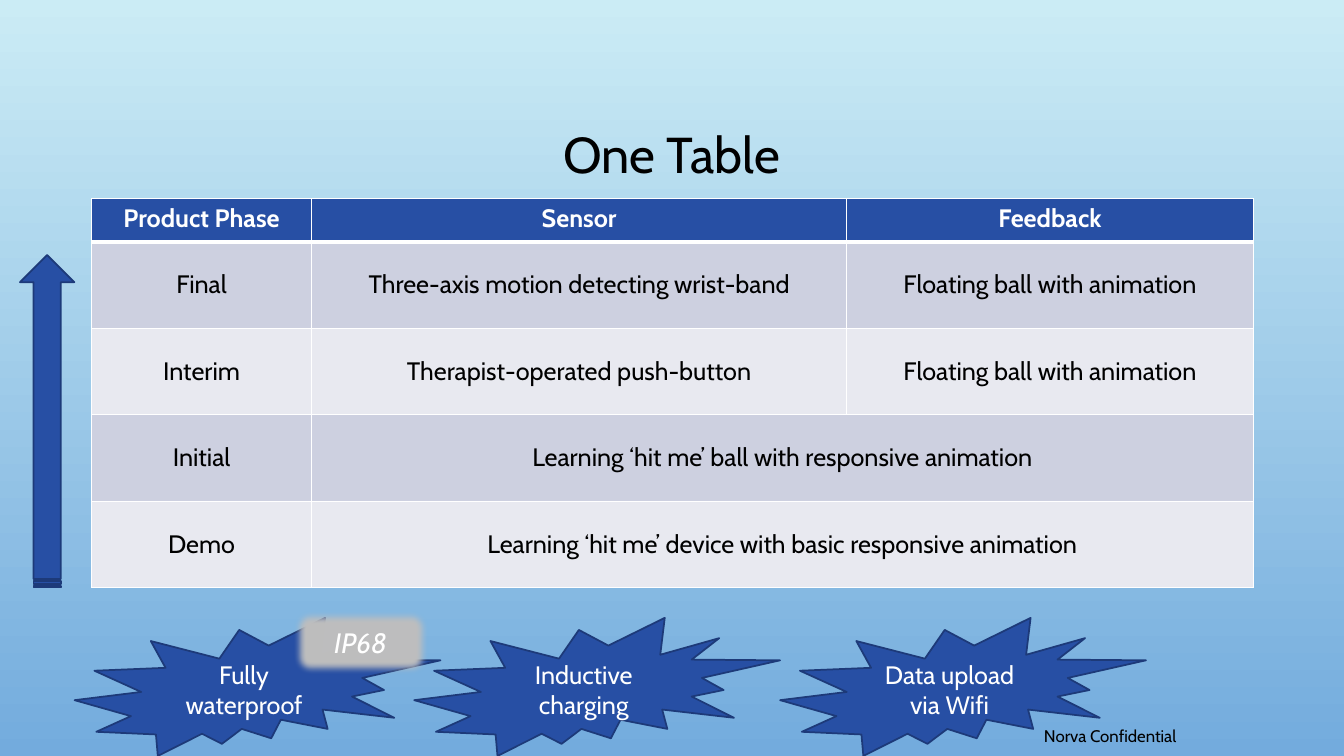
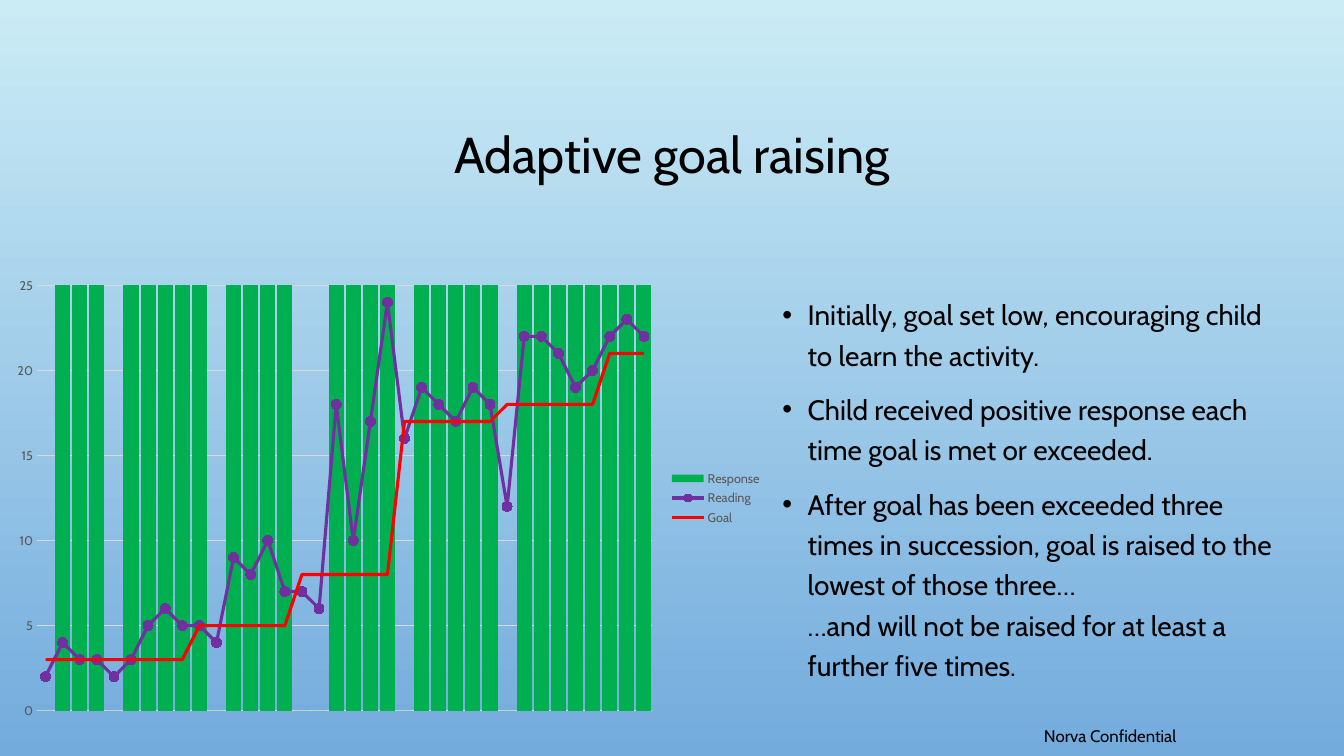
"""Build two slides: a product phase table and an adaptive goal chart."""
import lxml.etree
import pptx
import pptx.chart.data
import pptx.dml.color
import pptx.enum.chart
import pptx.enum.shapes
import pptx.enum.text
import pptx.oxml.ns
import pptx.util

Cm, Pt = pptx.util.Cm, pptx.util.Pt
RGBColor = pptx.dml.color.RGBColor
MSO_SHAPE = pptx.enum.shapes.MSO_SHAPE
PP_ALIGN = pptx.enum.text.PP_ALIGN
MSO_ANCHOR = pptx.enum.text.MSO_ANCHOR
MSO_AUTO_SIZE = pptx.enum.text.MSO_AUTO_SIZE
qn = pptx.oxml.ns.qn

FONT = "Cabin"
BLACK = RGBColor(0x00, 0x00, 0x00)
WHITE = RGBColor(0xFF, 0xFF, 0xFF)
SKY_TOP = RGBColor(0xCB, 0xEC, 0xF5)
SKY_BOTTOM = RGBColor(0x73, 0xAB, 0xDD)
BLUE = RGBColor(0x27, 0x4F, 0xA4)
DARK_BLUE = RGBColor(0x1D, 0x3A, 0x79)
BAND_DARK = RGBColor(0xCD, 0xD0, 0xE0)
BAND_LIGHT = RGBColor(0xE8, 0xE9, 0xF0)
BADGE_GREY = RGBColor(0xBF, 0xBF, 0xBF)
AXIS_GREY = RGBColor(0x59, 0x59, 0x59)
GRID_GREY = RGBColor(0xD9, 0xD9, 0xD9)
GREEN = RGBColor(0x00, 0xB0, 0x50)
PURPLE = RGBColor(0x70, 0x30, 0xA0)
RED = RGBColor(0xFF, 0x00, 0x00)

FOOTER = "Norva Confidential"

PHASES = [
    ("Product Phase", "Sensor", "Feedback"),
    ("Final", "Three-axis motion detecting wrist-band", "Floating ball with animation"),
    ("Interim", "Therapist-operated push-button", "Floating ball with animation"),
    ("Initial", "Learning ‘hit me’ ball with responsive animation"),
    ("Demo", "Learning ‘hit me’ device with basic responsive animation"),
]
COLUMN_WIDTHS = [5.54, 13.49, 10.24]
HEADER_HEIGHT, PHASE_HEIGHT = 1.09, 2.18

FEATURES = [(1.88, "Fully waterproof"), (10.44, "Inductive charging"), (19.66, "Data upload via Wifi")]

RULES = [
    ["Initially, goal set low, encouraging child to learn the activity."],
    ["Child received positive response each time goal is met or exceeded."],
    ["After goal has been exceeded three times in succession, goal is raised to the lowest of those three…",
     "…and will not be raised for at least a further five times."],
]

AXIS_MAX = 25
READING = [2, 4, 3, 3, 2, 3, 5, 6, 5, 5, 4, 9, 8, 10, 7, 7, 6, 18,
           10, 17, 24, 16, 19, 18, 17, 19, 18, 12, 22, 22, 21, 19, 20, 22, 23, 22]
GOAL_STEPS = [(3, 9), (5, 6), (8, 6), (17, 6), (18, 6), (21, 3)]
GOAL = [goal for goal, turns in GOAL_STEPS for _ in range(turns)]
RESPONSE = [AXIS_MAX if reading >= goal else 0 for reading, goal in zip(READING, GOAL)]


def box(left, top, width, height):
    return Cm(left), Cm(top), Cm(width), Cm(height)


def place(shape, left, top, width, height):
    shape.left, shape.top, shape.width, shape.height = box(left, top, width, height)


def style_font(font, size, color):
    font.name, font.size, font.color.rgb = FONT, Pt(size), color


def write(paragraph, text, size, color=BLACK, bold=False, italic=False):
    run = paragraph.add_run()
    run.text = text
    style_font(run.font, size, color)
    run.font.bold, run.font.italic = bold, italic


def set_background(master):
    fill = master.background.fill
    fill.gradient()
    fill.gradient_angle = 270
    for stop, color in zip(fill.gradient_stops, (SKY_TOP, SKY_BOTTOM)):
        stop.color.rgb = color


def add_master_footer(slide, master):
    footer = slide.shapes.add_textbox(*box(26.06, 18.16, 4.17, 0.76))
    footer.text_frame.word_wrap = False
    footer.text_frame.auto_size = MSO_AUTO_SIZE.SHAPE_TO_FIT_TEXT
    write(footer.text_frame.paragraphs[0], FOOTER, 12)
    master.element.cSld.spTree.append(footer.element)


def add_slide(prs, layout_index, heading):
    slide = prs.slides.add_slide(prs.slide_layouts[layout_index])
    title = slide.shapes.title
    place(title, 2.54, 1.73, 28.78, 4.45)
    title.text_frame.vertical_anchor = MSO_ANCHOR.MIDDLE
    paragraph = title.text_frame.paragraphs[0]
    paragraph.alignment, paragraph.line_spacing = PP_ALIGN.CENTER, 0.9
    write(paragraph, heading, 36)
    return slide


def set_borders(cell, top, bottom):
    properties = cell._tc.get_or_add_tcPr()
    for index, (side, width) in enumerate((("L", 1), ("R", 1), ("T", top), ("B", bottom))):
        border = lxml.etree.Element(qn("a:ln" + side), w=str(Pt(width)))
        fill = lxml.etree.SubElement(border, qn("a:solidFill"))
        lxml.etree.SubElement(fill, qn("a:srgbClr"), val=str(WHITE))
        properties.insert(index, border)


def add_phase_table(slide):
    height = HEADER_HEIGHT + PHASE_HEIGHT * (len(PHASES) - 1)
    frame = slide.shapes.add_table(
        len(PHASES), len(COLUMN_WIDTHS), *box(2.31, 5, sum(COLUMN_WIDTHS), height))
    table = frame.table
    for column, width in zip(table.columns, COLUMN_WIDTHS):
        column.width = Cm(width)
    for r, texts in enumerate(PHASES):
        header = r == 0
        table.rows[r].height = Cm(HEADER_HEIGHT if header else PHASE_HEIGHT)
        for c in range(len(COLUMN_WIDTHS)):
            cell = table.cell(r, c)
            cell.fill.solid()
            cell.fill.fore_color.rgb = BLUE if header else BAND_DARK if r % 2 else BAND_LIGHT
            set_borders(cell, 3 if r == 1 else 1, 3 if header else 1)
        if len(texts) < len(COLUMN_WIDTHS):
            table.cell(r, 1).merge(table.cell(r, 2))
        for c, text in enumerate(texts):
            cell = table.cell(r, c)
            cell.vertical_anchor = MSO_ANCHOR.TOP if header else MSO_ANCHOR.MIDDLE
            paragraph = cell.text_frame.paragraphs[0]
            paragraph.alignment = PP_ALIGN.CENTER
            write(paragraph, text, 18, WHITE if header else BLACK, bold=header)


def add_figure(slide, preset, area, fill, outline=None):
    figure = slide.shapes.add_shape(preset, *box(*area))
    figure.shadow.inherit = False
    figure.fill.solid()
    figure.fill.fore_color.rgb = fill
    if outline is None:
        figure.line.fill.background()
    else:
        figure.line.color.rgb = outline
        figure.line.width = Pt(1.25)
    figure.text_frame.vertical_anchor = MSO_ANCHOR.MIDDLE
    figure.text_frame.paragraphs[0].alignment = PP_ALIGN.CENTER
    return figure


def add_features(slide):
    for left, text in FEATURES:
        burst = add_figure(slide, MSO_SHAPE.EXPLOSION2, (left, 15.57, 9.22, 3.48), BLUE, DARK_BLUE)
        write(burst.text_frame.paragraphs[0], text, 18, WHITE)
    progress = add_figure(
        slide, MSO_SHAPE.STRIPED_RIGHT_ARROW, (-3, 9.93, 8.38, 1.37), BLUE, DARK_BLUE)
    progress.rotation = 270
    rating = add_figure(slide, MSO_SHAPE.ROUNDED_RECTANGLE, (7.39, 15.39, 3.4, 1.6), BADGE_GREY)
    effects = rating.element.spPr.find(qn("a:effectLst"))
    lxml.etree.SubElement(effects, qn("a:softEdge"), rad=str(Pt(5)))
    write(rating.text_frame.paragraphs[0], "IP68", 20, WHITE, italic=True)


def move_to_lines(chart):
    bars = chart.plots[0]._element
    lines = lxml.etree.SubElement(bars.getparent(), qn("c:lineChart"))
    bars.addnext(lines)
    lxml.etree.SubElement(lines, qn("c:grouping"), val="standard")
    lxml.etree.SubElement(lines, qn("c:varyColors"), val="0")
    for series in bars.findall(qn("c:ser"))[1:]:
        for bar_setting in series.findall(qn("c:invertIfNegative")):
            series.remove(bar_setting)
        lines.append(series)
    lxml.etree.SubElement(lines, qn("c:marker"), val="1")
    for axis in bars.findall(qn("c:axId")):
        lxml.etree.SubElement(lines, qn("c:axId"), val=axis.get("val"))


def add_goal_chart(slide):
    data = pptx.chart.data.CategoryChartData()
    data.categories = [str(turn + 1) for turn in range(len(READING))]
    for name, values in (("Response", RESPONSE), ("Reading", READING), ("Goal", GOAL)):
        data.add_series(name, values)
    chart = slide.shapes.add_chart(
        pptx.enum.chart.XL_CHART_TYPE.COLUMN_CLUSTERED, *box(0.05, 6.76, 19.41, 11.58), data).chart
    style_font(chart.font, 10, BLACK)
    chart.has_title = False
    chart.has_legend = True
    chart.legend.position = pptx.enum.chart.XL_LEGEND_POSITION.RIGHT
    chart.legend.include_in_layout = False
    style_font(chart.legend.font, 9, AXIS_GREY)

    chart.category_axis.visible = False
    axis = chart.value_axis
    axis.minimum_scale, axis.maximum_scale, axis.major_unit = 0, AXIS_MAX, 5
    axis.major_tick_mark = pptx.enum.chart.XL_TICK_MARK.NONE
    axis.format.line.fill.background()
    axis.major_gridlines.format.line.color.rgb = GRID_GREY
    axis.major_gridlines.format.line.width = Pt(0.75)
    style_font(axis.tick_labels.font, 9, AXIS_GREY)

    move_to_lines(chart)
    bars, lines = chart.plots
    bars.gap_width, bars.vary_by_categories = 13, False
    response = bars.series[0].format.fill
    response.solid()
    response.fore_color.rgb = GREEN
    for series, color in zip(lines.series, (PURPLE, RED)):
        series.smooth = False
        series.format.line.color.rgb = color
        series.format.line.width = Pt(2.25)
    reading, goal = (series.marker for series in lines.series)
    goal.style = pptx.enum.chart.XL_MARKER_STYLE.NONE
    reading.style, reading.size = pptx.enum.chart.XL_MARKER_STYLE.CIRCLE, 7
    reading.format.fill.solid()
    reading.format.fill.fore_color.rgb = PURPLE
    reading.format.line.color.rgb = PURPLE


def add_rules(slide):
    body = slide.placeholders[1]
    place(body, 19.46, 7.21, 13.34, 11.13)
    frame = body.text_frame
    frame.auto_size = MSO_AUTO_SIZE.NONE
    frame.vertical_anchor = MSO_ANCHOR.TOP
    for index, parts in enumerate(RULES):
        paragraph = frame.add_paragraph() if index else frame.paragraphs[0]
        properties = paragraph._p.get_or_add_pPr()
        properties.set("marL", str(Cm(0.64)))
        properties.set("indent", str(-Cm(0.64)))
        lxml.etree.SubElement(properties, qn("a:buFont"), typeface="Arial")
        lxml.etree.SubElement(properties, qn("a:buChar"), char="•")
        paragraph.line_spacing = 1.2
        paragraph.space_before = Pt(10 if index else 0)
        for part_index, part in enumerate(parts):
            if part_index:
                paragraph.add_line_break()
            write(paragraph, part, 20)


def main():
    prs = pptx.Presentation()
    prs.slide_width, prs.slide_height = Cm(33.87), Cm(19.05)
    set_background(prs.slide_master)

    phases = add_slide(prs, 5, "One Table")
    add_master_footer(phases, prs.slide_master)
    add_phase_table(phases)
    add_features(phases)

    goals = add_slide(prs, 1, "Adaptive goal raising")
    add_rules(goals)
    add_goal_chart(goals)

    prs.save("out.pptx")


if __name__ == "__main__":
    main()
